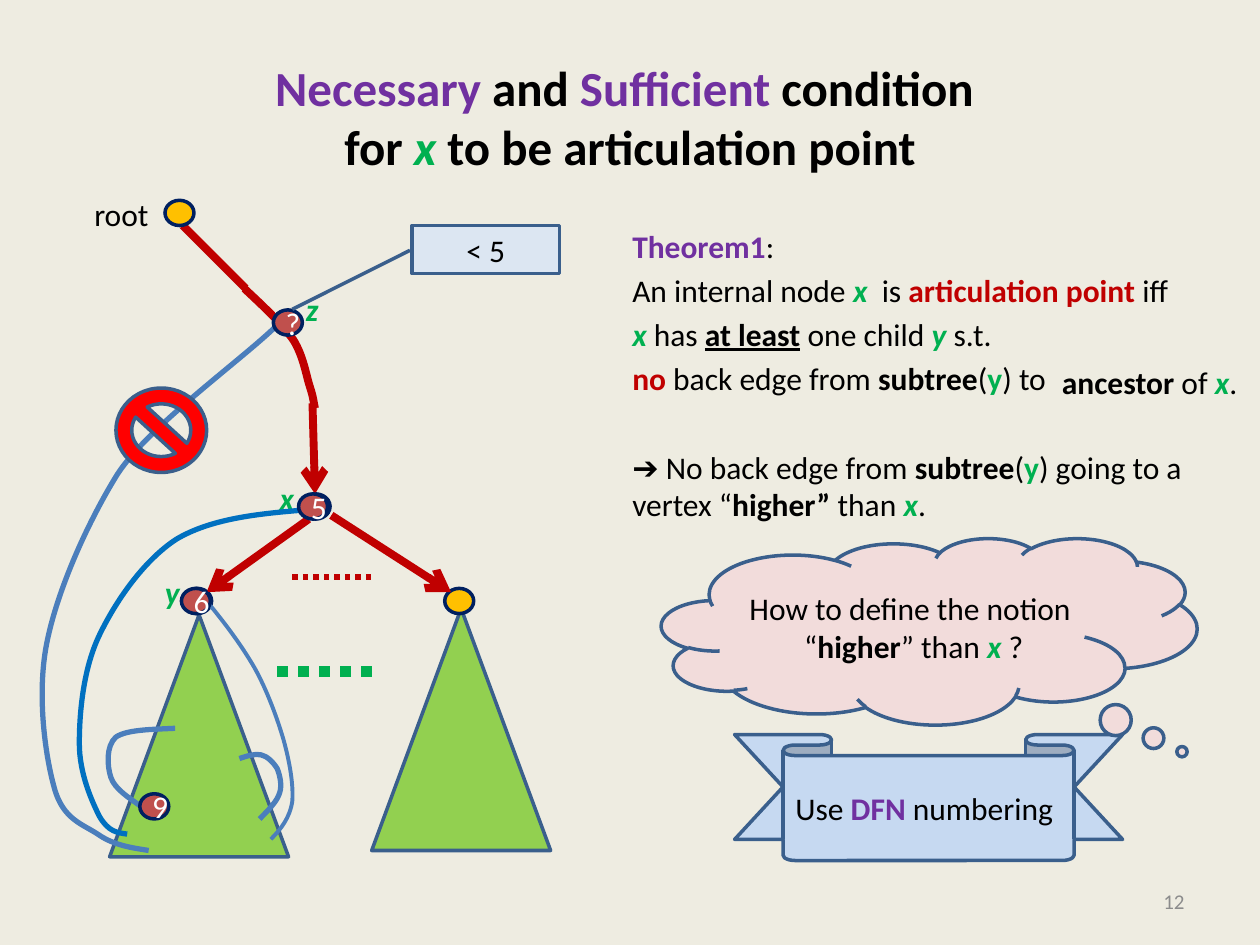
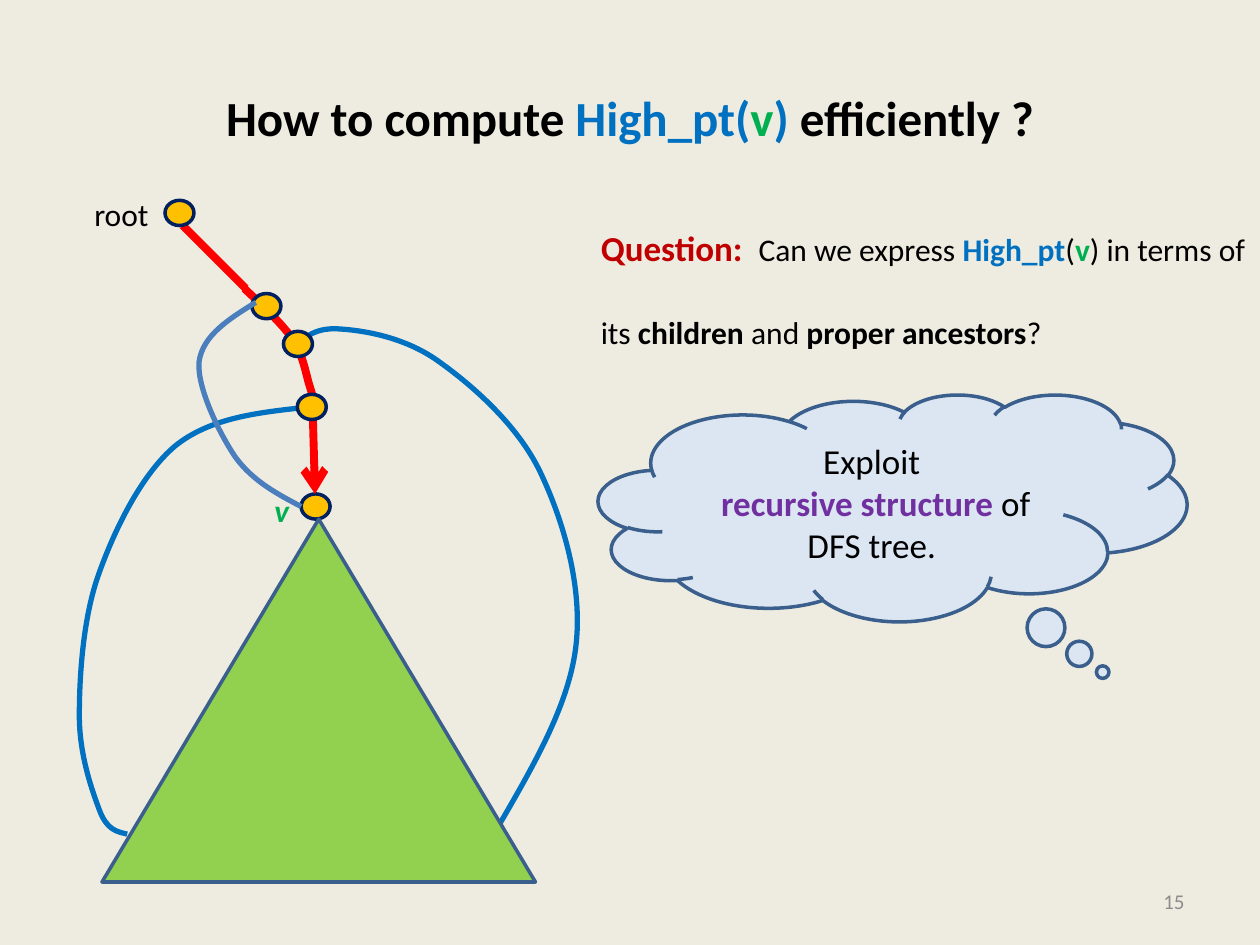
from lxml import etree
from pptx import Presentation
from pptx.dml.color import RGBColor
from pptx.enum.dml import MSO_LINE
from pptx.enum.shapes import MSO_CONNECTOR, MSO_SHAPE
from pptx.enum.text import MSO_ANCHOR, MSO_AUTO_SIZE, PP_ALIGN
from pptx.oxml.ns import qn
from pptx.util import Inches, Pt

STRAIGHT = MSO_CONNECTOR.STRAIGHT
ELLIPSE = MSO_SHAPE.OVAL
TRIANGLE = MSO_SHAPE.ISOSCELES_TRIANGLE
CLOUD = MSO_SHAPE.CLOUD_CALLOUT
RIBBON = MSO_SHAPE.DOWN_RIBBON
CALLOUT = MSO_SHAPE.LINE_CALLOUT_1
NO_SYMBOL = MSO_SHAPE.NO_SYMBOL
DOTTED = MSO_LINE.ROUND_DOT
LEFT, CENTER, RIGHT = PP_ALIGN.LEFT, PP_ALIGN.CENTER, PP_ALIGN.RIGHT
TOP, MIDDLE = MSO_ANCHOR.TOP, MSO_ANCHOR.MIDDLE
FIT_SHAPE = MSO_AUTO_SIZE.SHAPE_TO_FIT_TEXT

BLACK = RGBColor(0x00, 0x00, 0x00)
WHITE = RGBColor(0xFF, 0xFF, 0xFF)
GRAY = RGBColor(0x8C, 0x8C, 0x8C)
BEIGE = RGBColor(0xEE, 0xEC, 0xE1)
PURPLE = RGBColor(0x70, 0x30, 0xA0)
GREEN = RGBColor(0x00, 0xB0, 0x50)
LIGHT_GREEN = RGBColor(0x92, 0xD0, 0x50)
DARK_RED = RGBColor(0xC0, 0x00, 0x00)
RED = RGBColor(0xFF, 0x00, 0x00)
BRICK = RGBColor(0xC0, 0x50, 0x4D)
GOLD = RGBColor(0xFF, 0xC0, 0x00)
PINK = RGBColor(0xF2, 0xDC, 0xDB)
BLUE = RGBColor(0x00, 0x70, 0xC0)
STEEL = RGBColor(0x4B, 0x7E, 0xBC)
OUTLINE = RGBColor(0x3A, 0x5F, 0x8C)
NAVY = RGBColor(0x00, 0x20, 0x60)
PALE_BLUE = RGBColor(0xDC, 0xE6, 0xF2)
SKY = RGBColor(0xC6, 0xD9, 0xF1)

FONT = "Calibri"
NODE_WIDTH, NODE_HEIGHT = 0.23, 0.2


def write_paragraph(paragraph, runs, size=18, align=LEFT, space_before=0):
    paragraph.alignment = align
    paragraph.space_before = Pt(space_before)
    paragraph.font.name = FONT
    paragraph.font.size = Pt(size)
    for text, color, style, *run_size in runs:
        for index, line in enumerate(text.split("\n")):
            if index:
                paragraph.add_line_break()
            run = paragraph.add_run()
            run.text = line
            run.font.color.rgb = color
            run.font.bold = "b" in style
            run.font.italic = "i" in style
            if "u" in style:
                run.font.underline = True
            if run_size:
                run.font.size = Pt(run_size[0])


def write_paragraphs(frame, paragraphs, size=18, align=LEFT, gaps=()):
    for index, runs in enumerate(paragraphs):
        paragraph = frame.add_paragraph() if index else frame.paragraphs[0]
        gap = gaps[index - 1] if index and gaps else 0
        write_paragraph(paragraph, runs, size, align, gap)


def add_text(slide, box, paragraphs, size=18, align=LEFT, anchor=TOP, gaps=()):
    frame = slide.shapes.add_textbox(*map(Inches, box)).text_frame
    frame.word_wrap = True
    frame.vertical_anchor = anchor
    write_paragraphs(frame, paragraphs, size, align, gaps)


def add_label(slide, left, top, width, runs):
    box = slide.shapes.add_textbox(*map(Inches, (left, top, width, 0.4)))
    box.text_frame.word_wrap = False
    box.text_frame.auto_size = FIT_SHAPE
    write_paragraph(box.text_frame.paragraphs[0], runs)


def add_vertex_name(slide, left, top, name):
    add_label(slide, left, top, 0.32, [(name, GREEN, "bi")])


def add_figure(slide, kind, box, fill, line=OUTLINE, adjustments=(),
               paragraphs=(), size=18, align=CENTER):
    shape = slide.shapes.add_shape(kind, *map(Inches, box))
    shape.shadow.inherit = False
    shape.fill.solid()
    shape.fill.fore_color.rgb = fill
    shape.line.color.rgb = line
    shape.line.width = Pt(2)
    for index, value in enumerate(adjustments):
        shape.adjustments[index] = value
    shape.text_frame.vertical_anchor = MIDDLE
    write_paragraphs(shape.text_frame, paragraphs, size, align)


def add_node(slide, left, top, number=None):
    paragraphs = [[(number, WHITE, "")]] if number else ()
    add_figure(slide, ELLIPSE, (left, top, NODE_WIDTH, NODE_HEIGHT),
               BRICK if number else GOLD, NAVY, paragraphs=paragraphs)


def add_line(slide, start, end, color, width=4.5, arrow=False, dash=None):
    connector = slide.shapes.add_connector(STRAIGHT, *map(Inches, start + end))
    connector.line.color.rgb = color
    connector.line.width = Pt(width)
    if dash:
        connector.line.dash_style = dash
    if arrow:
        etree.SubElement(connector.line._get_or_add_ln(), qn("a:tailEnd"), type="arrow")
    etree.SubElement(connector._element.spPr, qn("a:effectLst"))


def bend_segments(curve, points):
    segments = list(curve._element.iter(qn("a:lnTo")))
    for index, segment in enumerate(segments):
        bend = etree.Element(qn("a:cubicBezTo"))
        for x, y in points[3 * index + 1:3 * index + 4]:
            etree.SubElement(bend, qn("a:pt"), x=str(Inches(x) - curve.left),
                             y=str(Inches(y) - curve.top))
        segment.getparent().replace(segment, bend)


def add_curve(slide, points, color, width=3):
    start, *anchors = [tuple(map(Inches, point)) for point in points[::3]]
    builder = slide.shapes.build_freeform(*start)
    builder.add_line_segments(anchors, close=False)
    curve = builder.convert_to_shape()
    bend_segments(curve, points)
    curve.shadow.inherit = False
    curve.fill.background()
    curve.line.color.rgb = color
    curve.line.width = Pt(width)


def add_slide(presentation, title, number):
    slide = presentation.slides.add_slide(presentation.slide_layouts[6])
    add_text(slide, (0.5, 0.3, 9, 1.25), [title], 28, CENTER, MIDDLE)
    add_text(slide, (7.17, 6.95, 2.33, 0.4), [[(number, GRAY, "")]], 12, RIGHT, MIDDLE)
    return slide


def add_root_path(slide, color):
    add_line(slide, (2.48, 3.2), (2.5, 3.92), color, arrow=True)
    add_curve(slide, [(1.94, 2.29), (2.09, 2.43), (2.24, 2.57), (2.33, 2.7),
                      (2.41, 2.83), (2.43, 2.98), (2.46, 3.07),
                      (2.49, 3.16), (2.49, 3.2), (2.5, 3.24)], color, 4.5)
    add_line(slide, (1.45, 1.79), (1.95, 2.29), color)
    add_node(slide, 1.31, 1.59)
    add_label(slide, 0.65, 1.5, 0.64, [("root", BLACK, "")])


def add_subtrees(slide):
    for left, top, node_left in ((0.87, 4.88, 1.45), (2.95, 4.83, 3.53)):
        add_figure(slide, TRIANGLE, (left, top, 1.42, 1.92), LIGHT_GREEN)
        add_node(slide, node_left, 4.67)
    add_line(slide, (2.45, 4.12), (1.64, 4.7), DARK_RED, arrow=True)
    add_line(slide, (2.63, 4.09), (3.58, 4.7), DARK_RED, arrow=True)
    add_line(slide, (2.32, 4.58), (2.95, 4.58), DARK_RED, 3, dash=DOTTED)
    add_line(slide, (2.2, 5.33), (3.01, 5.33), GREEN, 6, dash=DOTTED)


def add_back_edges(slide):
    add_curve(slide, [(1.12, 6.4), (1.02, 6.33), (0.91, 6.26), (0.88, 6.17),
                      (0.85, 6.08), (0.84, 5.92), (0.92, 5.85),
                      (1.01, 5.79), (1.2, 5.79), (1.39, 5.78)], STEEL)
    add_curve(slide, [(2.06, 6.5), (2.13, 6.43), (2.2, 6.36), (2.22, 6.29),
                      (2.24, 6.23), (2.22, 6.15), (2.2, 6.1),
                      (2.17, 6.05), (2.12, 6), (2.07, 5.99),
                      (2.02, 5.98), (1.96, 6), (1.9, 6.02)], STEEL)
    add_curve(slide, [(2.15, 6.66), (2.23, 6.58), (2.3, 6.49), (2.32, 6.36),
                      (2.33, 6.23), (2.3, 6.05), (2.25, 5.87),
                      (2.2, 5.7), (2.12, 5.48), (2.02, 5.3),
                      (1.91, 5.11), (1.78, 4.94), (1.64, 4.77)], STEEL, 2.25)
    add_curve(slide, [(1.01, 6.62), (0.93, 6.61), (0.86, 6.6), (0.79, 6.48),
                      (0.73, 6.36), (0.63, 6.14), (0.63, 5.9),
                      (0.63, 5.66), (0.66, 5.31), (0.79, 5.04),
                      (0.92, 4.77), (1.14, 4.45), (1.4, 4.28),
                      (1.67, 4.12), (2.03, 4.08), (2.39, 4.05)], BLUE)
    add_curve(slide, [(1.18, 6.75), (1.05, 6.73), (0.91, 6.71), (0.79, 6.63),
                      (0.66, 6.54), (0.5, 6.51), (0.43, 6.25),
                      (0.36, 6), (0.29, 5.52), (0.37, 5.11),
                      (0.45, 4.7), (0.68, 4.18), (0.91, 3.8),
                      (1.13, 3.42), (1.89, 2.88), (2.19, 2.59)], STEEL)


def build_condition_slide(presentation):
    slide = add_slide(presentation, [
        ("Necessary ", PURPLE, "b"), ("and", BLACK, "b"), (" Sufficient ", PURPLE, "b"),
        ("condition \nfor ", BLACK, "b"), ("x ", GREEN, "bi"),
        ("to be articulation point", BLACK, "b")], "12")
    add_text(slide, (4.92, 1.75, 4.83, 4.95), [
        [("Theorem1", PURPLE, "b"), (":", BLACK, "")],
        [("An internal node ", BLACK, ""), ("x  ", GREEN, "bi"), ("is ", BLACK, ""),
         ("articulation point ", DARK_RED, "b"), ("iff", BLACK, "")],
        [("x", GREEN, "bi"), (" has ", BLACK, ""), ("at least", BLACK, "bu"),
         (" one child ", BLACK, ""), ("y ", GREEN, "bi"), ("s.t.", BLACK, "")],
        [("no", DARK_RED, "b"), (" back edge from ", BLACK, ""), ("subtree", BLACK, "b"),
         ("(", BLACK, ""), ("y", GREEN, "b"), (") to", BLACK, "")],
        [("➔ No back edge from ", BLACK, ""), ("subtree", BLACK, "b"), ("(", BLACK, ""),
         ("y", GREEN, "b"), (") going to a vertex “", BLACK, ""), ("higher”", BLACK, "b"),
         (" than ", BLACK, ""), ("x", GREEN, "bi"), (".", BLACK, "")],
    ], gaps=(3.6, 3.6, 3.6, 29))
    add_node(slide, 2.39, 3.92)
    add_vertex_name(slide, 2.12, 3.75, "x")
    add_root_path(slide, DARK_RED)
    add_subtrees(slide)
    add_vertex_name(slide, 1.21, 4.5, "y")
    add_back_edges(slide)
    add_vertex_name(slide, 2.33, 2.25, "z")
    add_figure(slide, NO_SYMBOL, (0.92, 3.08, 0.72, 0.67), RED)
    add_figure(slide, RIBBON, (5.83, 5.83, 3.08, 1), SKY, adjustments=(0.167, 0.75),
               paragraphs=[[("Use ", BLACK, ""), ("DFN ", PURPLE, "b"),
                            ("numbering", BLACK, "")]], align=LEFT)
    for left, top, number in ((1.11, 6.3, "9"), (1.44, 4.67, "6"),
                              (2.37, 3.92, "5"), (2.17, 2.46, "?")):
        add_node(slide, left, top, number)
    add_figure(slide, CLOUD, (5.25, 4.27, 4.25, 1.48), PINK, adjustments=(0.472, 0.646),
               paragraphs=[[("How to define the notion  “", BLACK, ""),
                            ("higher", BLACK, "b"), ("” than ", BLACK, ""),
                            ("x ", GREEN, "bi"), ("?", BLACK, "")]])
    add_figure(slide, CALLOUT, (3.27, 1.79, 1.17, 0.38), PALE_BLUE,
               adjustments=(0.519, -0.014, 1.75, -0.812),
               paragraphs=[[("< 5", BLACK, "")]])
    add_label(slide, 8.33, 2.83, 1.6, [("ancestor", BLACK, "b"), (" of ", BLACK, ""),
                                       ("x", GREEN, "bi"), (".", BLACK, "")])


def build_high_point_slide(presentation):
    slide = add_slide(presentation, [
        ("How to compute ", BLACK, "b"), ("High_pt(", BLUE, "b"), ("v", GREEN, "b"),
        (") ", BLUE, "b"), ("efficiently ?", BLACK, "b")], "15")
    add_text(slide, (4.67, 1.75, 5.33, 4.95), [
        [("Question:  ", DARK_RED, "b", 20), ("Can we express ", BLACK, ""),
         ("High_pt", BLUE, "b"), ("(", BLACK, ""), ("v", GREEN, "b"),
         (") in terms of", BLACK, "")],
        [("its ", BLACK, ""), ("children", BLACK, "b"), (" and ", BLACK, ""),
         ("proper ancestors", BLACK, "b"), ("?", BLACK, "")],
    ], gaps=(25.4,))
    add_node(slide, 2.39, 3.92)
    add_vertex_name(slide, 2.08, 3.85, "v")
    add_root_path(slide, RED)
    add_curve(slide, [(1.01, 6.62), (0.93, 6.6), (0.85, 6.59), (0.79, 6.43),
                      (0.73, 6.27), (0.63, 5.99), (0.63, 5.68),
                      (0.63, 5.36), (0.66, 4.89), (0.79, 4.54),
                      (0.92, 4.18), (1.13, 3.76), (1.39, 3.54),
                      (1.65, 3.33), (2, 3.28), (2.36, 3.24)], BLUE)
    add_node(slide, 2.36, 3.13)
    add_node(slide, 2, 2.33)
    add_curve(slide, [(2.39, 4.02), (2.2, 3.92), (2.01, 3.82), (1.87, 3.63),
                      (1.74, 3.44), (1.56, 3.07), (1.58, 2.87),
                      (1.61, 2.66), (1.82, 2.53), (2.03, 2.4)], STEEL)
    add_curve(slide, [(2.31, 2.78), (2.4, 2.69), (2.49, 2.6), (2.68, 2.61),
                      (2.87, 2.62), (3.2, 2.67), (3.47, 2.86),
                      (3.74, 3.05), (4.11, 3.37), (4.29, 3.75),
                      (4.47, 4.13), (4.63, 4.66), (4.57, 5.14),
                      (4.51, 5.62), (4.21, 6.12), (3.92, 6.62)], BLUE)
    add_node(slide, 2.25, 2.63)
    add_figure(slide, TRIANGLE, (0.81, 4.12, 3.44, 2.88), LIGHT_GREEN)
    add_figure(slide, CLOUD, (4.75, 3.13, 4.67, 1.8), PALE_BLUE, adjustments=(0.357, 0.725),
               paragraphs=[[("Exploit", BLACK, "")],
                           [(" ", BLACK, ""), ("recursive structure ", PURPLE, "b"),
                            ("of DFS tree.", BLACK, "")]], size=20)


def main():
    presentation = Presentation()
    presentation.slide_width, presentation.slide_height = Inches(10), Inches(7.5)
    background = presentation.slide_master.background.fill
    background.solid()
    background.fore_color.rgb = BEIGE
    build_condition_slide(presentation)
    build_high_point_slide(presentation)
    presentation.save("out.pptx")


if __name__ == "__main__":
    main()
